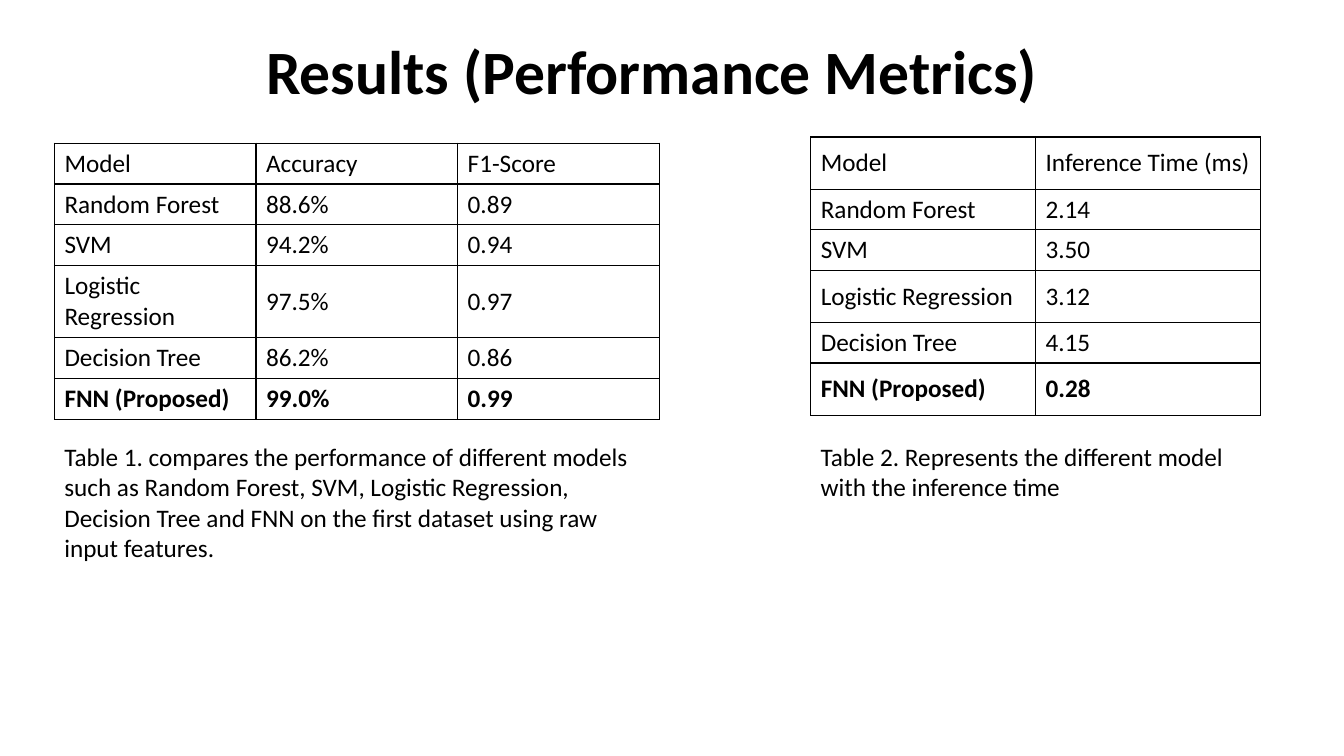
from dataclasses import dataclass

from lxml import etree
from pptx import Presentation
from pptx.dml.color import RGBColor
from pptx.enum.text import MSO_ANCHOR, MSO_AUTO_SIZE, PP_ALIGN
from pptx.oxml.ns import qn
from pptx.slide import Slide
from pptx.table import _Cell
from pptx.text.text import TextFrame
from pptx.util import Inches, Pt

MIDDLE = MSO_ANCHOR.MIDDLE
LEFT = PP_ALIGN.LEFT
NO_AUTOFIT = MSO_AUTO_SIZE.NONE
GROW = MSO_AUTO_SIZE.SHAPE_TO_FIT_TEXT

SLIDE_WIDTH = Inches(13.33)
SLIDE_HEIGHT = Inches(7.5)
TITLE_ONLY = 5


@dataclass(frozen=True)
class Theme:
    font: str = "Calibri"
    ink: str = "000000"
    title_size: int = 44
    body_size: int = 18
    border_width: int = 1


@dataclass(frozen=True)
class Box:
    """Place and size in percent of the slide's width and height."""
    left: float
    top: float
    width: float
    height: float

    def emu(self) -> tuple[int, int, int, int]:
        return across(self.left), down(self.top), across(self.width), down(self.height)


@dataclass(frozen=True)
class ResultTable:
    box: Box
    row_heights: list[float]
    rows: list[list[str]]
    caption_box: Box
    caption: str


THEME = Theme()


def across(percent: float) -> int:
    return round(SLIDE_WIDTH * percent / 100)


def down(percent: float) -> int:
    return round(SLIDE_HEIGHT * percent / 100)


def write(frame: TextFrame, text: str, size: int, bold: bool = False) -> None:
    frame.text = text
    paragraph = frame.paragraphs[0]
    paragraph.alignment = LEFT
    font = paragraph.font
    font.name = THEME.font
    font.size = Pt(size)
    font.bold = bold
    font.color.rgb = RGBColor.from_string(THEME.ink)


def add_borders(cell: _Cell) -> None:
    properties = cell._tc.get_or_add_tcPr()
    for position, side in enumerate(("lnL", "lnR", "lnT", "lnB")):
        line = etree.Element(qn(f"a:{side}"), w=str(Pt(THEME.border_width)))
        fill = etree.SubElement(line, qn("a:solidFill"))
        etree.SubElement(fill, qn("a:srgbClr"), val=THEME.ink)
        properties.insert(position, line)


def add_title(slide: Slide, box: Box, text: str) -> None:
    title = slide.shapes.title
    title.left, title.top, title.width, title.height = box.emu()
    frame = title.text_frame
    write(frame, text, THEME.title_size, bold=True)
    frame.auto_size = NO_AUTOFIT
    frame.vertical_anchor = MIDDLE
    frame.paragraphs[0].line_spacing = 0.9


def add_results(slide: Slide, results: ResultTable) -> None:
    # Table: equal columns, with the proposed model in bold on the last row
    row_count, column_count = len(results.rows), len(results.rows[0])
    table = slide.shapes.add_table(row_count, column_count, *results.box.emu()).table
    table.first_row = False
    table.horz_banding = False
    for row_index, (height, values) in enumerate(zip(results.row_heights, results.rows)):
        table.rows[row_index].height = down(height)
        for column_index, value in enumerate(values):
            cell = table.cell(row_index, column_index)
            write(cell.text_frame, value, THEME.body_size, bold=row_index == row_count - 1)
            cell.vertical_anchor = MIDDLE
            cell.fill.background()
            add_borders(cell)

    # Caption
    frame = slide.shapes.add_textbox(*results.caption_box.emu()).text_frame
    frame.word_wrap = True
    frame.auto_size = GROW
    write(frame, results.caption, THEME.body_size)


RESULTS = [
    ResultTable(
        box=Box(4.05, 18.93, 45.01, 36),
        row_heights=[5.33, 5.33, 5.33, 9.33, 5.33, 5.33],
        rows=[
            ["Model", "Accuracy", "F1-Score"],
            ["Random Forest", "88.6%", "0.89"],
            ["SVM", "94.2%", "0.94"],
            ["Logistic Regression", "97.5%", "0.97"],
            ["Decision Tree", "86.2%", "0.86"],
            ["FNN (Proposed)", "99.0%", "0.99"],
        ],
        caption_box=Box(4.05, 57.73, 45.01, 17.47),
        caption="Table 1. compares the performance of different models such as "
                "Random Forest, SVM, Logistic Regression, Decision Tree and FNN "
                "on the first dataset using raw input features.",
    ),
    ResultTable(
        box=Box(60.32, 18.13, 33.46, 36.8),
        row_heights=[6.93, 5.07, 5.07, 6.93, 5.07, 6.93],
        rows=[
            ["Model", "Inference Time (ms)"],
            ["Random Forest", "2.14"],
            ["SVM", "3.50"],
            ["Logistic Regression", "3.12"],
            ["Decision Tree", "4.15"],
            ["FNN (Proposed)", "0.28"],
        ],
        caption_box=Box(60.32, 57.73, 33.23, 9.47),
        caption="Table 2. Represents the different model with the inference time",
    ),
]


def main() -> None:
    presentation = Presentation()
    presentation.slide_width = SLIDE_WIDTH
    presentation.slide_height = SLIDE_HEIGHT
    slide = presentation.slides.add_slide(presentation.slide_layouts[TITLE_ONLY])

    add_title(slide, Box(19.05, 0.13, 86.27, 19.33), "Results (Performance Metrics)")
    for results in RESULTS:
        add_results(slide, results)

    presentation.save("out.pptx")


if __name__ == "__main__":
    main()
